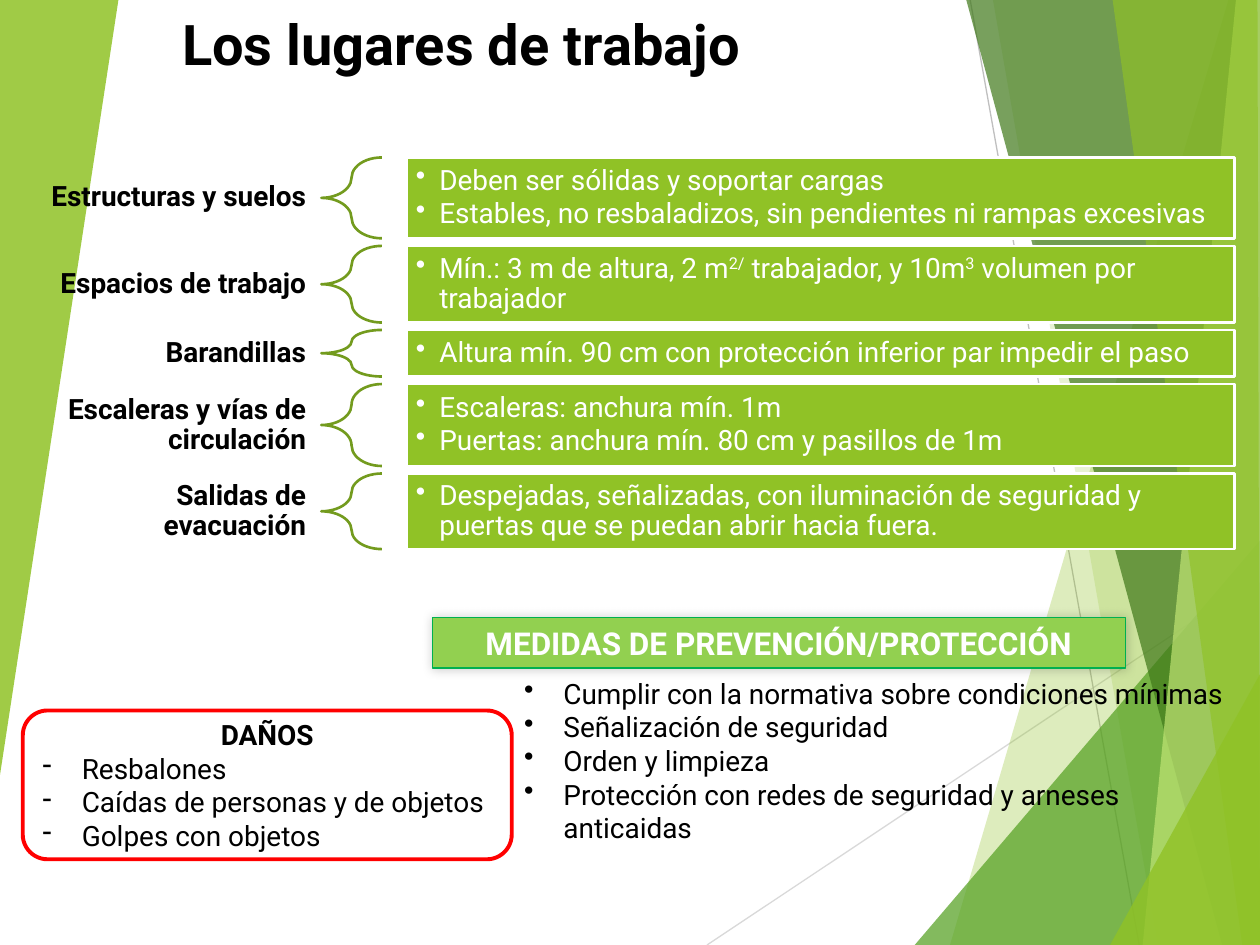
from dataclasses import dataclass

from lxml import etree
from pptx import Presentation
from pptx.dml.color import RGBColor
from pptx.enum.shapes import MSO_CONNECTOR, MSO_SHAPE
from pptx.enum.text import MSO_ANCHOR, MSO_AUTO_SIZE, PP_ALIGN
from pptx.oxml.ns import qn
from pptx.util import Pt

RECTANGLE = MSO_SHAPE.RECTANGLE
ROUNDED = MSO_SHAPE.ROUNDED_RECTANGLE
BRACE = MSO_SHAPE.LEFT_BRACE
STRAIGHT = MSO_CONNECTOR.STRAIGHT
LEFT, CENTER, RIGHT = PP_ALIGN.LEFT, PP_ALIGN.CENTER, PP_ALIGN.RIGHT
TOP, MIDDLE = MSO_ANCHOR.TOP, MSO_ANCHOR.MIDDLE
FONT = "Roboto"
GREEN, BLACK, WHITE = "90C226", "000000", "FFFFFF"


@dataclass
class Facet:
    points: list[tuple[float, float]]
    color: str
    opacity: int


@dataclass
class Topic:
    label: str
    height: float
    rules: list[str]


FACETS = [
    Facet([(702, 0), (542.9, 540), (720, 540), (720, 0)], GREEN, 30),
    Facet([(567.4, 0), (661.7, 540), (720, 540), (720, 0)], GREEN, 20),
    Facet([(522.7, 540), (720, 308.9), (720, 540)], "54A021", 72),
    Facet([(552.2, 0), (698.4, 540), (720, 540), (720, 0)], "3F7819", 70),
    Facet([(706.3, 0), (653, 540), (720, 540), (720, 0)], "C0E474", 70),
    Facet([(635.8, 0), (709.9, 540), (720, 540), (718.6, 0)], GREEN, 65),
    Facet([(634.3, 540), (720, 385.2), (720, 540)], GREEN, 80),
    Facet([(0, 0), (67.7, 0), (0, 443)], GREEN, 85),
]

TOPICS = [
    Topic("Estructuras y suelos", 46.2, [
        "Deben ser sólidas y soportar cargas",
        "Estables, no resbaladizos, sin pendientes ni rampas excesivas"]),
    Topic("Espacios de trabajo", 43.8, [
        "Mín.: 3 m de altura, 2 m^2/^ trabajador, y 10m^3^ volumen por trabajador"]),
    Topic("Barandillas", 26.6, [
        "Altura mín. 90 cm con protección inferior par impedir el paso"]),
    Topic("Escaleras y vías de circulación", 46.8, [
        "Escaleras: anchura mín. 1m",
        "Puertas: anchura mín. 80 cm y pasillos de 1m"]),
    Topic("Salidas de evacuación", 43.2, [
        "Despejadas, señalizadas, con iluminación de seguridad y "
        "puertas que se puedan abrir hacia fuera."]),
]
TOPICS_TOP, TOPIC_GAP = 90, 4.3

DAMAGES = ["Resbalones", "Caídas de personas y de objetos", "Golpes con objetos"]
MEASURES = [
    "Cumplir con la normativa sobre condiciones mínimas",
    "Señalización de seguridad",
    "Orden y limpieza",
    "Protección con redes de seguridad y arneses anticaidas",
]


def rgb(color: str) -> RGBColor:
    return RGBColor.from_string(color)


def set_bullet(paragraph, bullet: str, indent: float) -> None:
    properties = paragraph._p.get_or_add_pPr()
    properties.set("marL", str(Pt(indent)))
    properties.set("indent", str(-Pt(indent)))
    etree.SubElement(properties, qn("a:buChar"), char=bullet)


def write(box, lines: list[str], size: float = 16, color: str = BLACK, bold: bool = False,
          align=LEFT, anchor=MIDDLE, margins=(7.2, 3.6, 7.2, 3.6), bullet: str = "",
          indent: float = 22.5, spacing: float = 1, gap: float = 0) -> None:
    frame = box.text_frame
    frame.word_wrap = True
    frame.auto_size = MSO_AUTO_SIZE.NONE
    frame.vertical_anchor = anchor
    (frame.margin_left, frame.margin_top,
     frame.margin_right, frame.margin_bottom) = map(Pt, margins)
    for line in lines:
        first = not frame.text
        paragraph = frame.paragraphs[0] if first else frame.add_paragraph()
        if bullet:
            set_bullet(paragraph, bullet, indent)
        paragraph.alignment = align
        paragraph.line_spacing = spacing
        paragraph.space_before = Pt(0 if first else gap)
        for position, piece in enumerate(line.split("^")):
            span = paragraph.add_run()
            span.text = piece
            span.font.name = FONT
            span.font.size = Pt(size)
            span.font.bold = bold
            span.font.color.rgb = rgb(color)
            if position % 2:
                span._r.get_or_add_rPr().set("baseline", "30000")


def add_box(page, kind, left: float, top: float, width: float, height: float,
            line: str, weight: float, fill: str = ""):
    box = page.shapes.add_shape(kind, Pt(left), Pt(top), Pt(width), Pt(height))
    box.shadow.inherit = False
    if fill:
        box.fill.solid()
        box.fill.fore_color.rgb = rgb(fill)
    else:
        box.fill.background()
    box.line.color.rgb = rgb(line)
    box.line.width = Pt(weight)
    return box


def add_text(page, left: float, top: float, width: float, height: float):
    return page.shapes.add_textbox(Pt(left), Pt(top), Pt(width), Pt(height))


def add_shadow(box) -> None:
    effects = box._element.spPr.find(qn("a:effectLst"))
    shadow = etree.SubElement(effects, qn("a:outerShdw"), blurRad=str(Pt(6)), dist="0",
                              dir="13500000", rotWithShape="0")
    tint = etree.SubElement(shadow, qn("a:srgbClr"), val=BLACK)
    etree.SubElement(tint, qn("a:alpha"), val="20000")


def add_hairline(page, start: tuple[float, float], end: tuple[float, float], color: str) -> None:
    line = page.shapes.add_connector(STRAIGHT, *map(Pt, start + end))
    line.line.color.rgb = rgb(color)
    line.line.width = Pt(0.75)
    etree.SubElement(line._element.spPr, qn("a:effectLst"))


def add_facet(page, facet: Facet) -> None:
    points = [(Pt(x), Pt(y)) for x, y in facet.points]
    builder = page.shapes.build_freeform(*points[0])
    builder.add_line_segments(points[1:], close=True)
    shape = builder.convert_to_shape()
    shape.shadow.inherit = False
    shape.fill.solid()
    shape.fill.fore_color.rgb = rgb(facet.color)
    shape.line.fill.background()
    tint = shape._element.spPr.find(qn("a:solidFill"))[0]
    etree.SubElement(tint, qn("a:alpha"), val=str(facet.opacity * 1000))


def add_topic(page, topic: Topic, top: float) -> None:
    label = add_text(page, 10, top, 173.5, topic.height)
    write(label, [topic.label], bold=True, align=RIGHT, spacing=0.9,
          margins=(8.6, 2.9, 8.6, 2.9))
    brace = add_box(page, BRACE, 183.6, top, 34.6, topic.height, "739B1E", 1.5)
    brace.adjustments[0] = 0.35
    panel = add_box(page, RECTANGLE, 232.6, top, 473, topic.height, WHITE, 1.5, GREEN)
    write(panel, topic.rules, color=WHITE, bullet="•", indent=13.5, spacing=0.9, gap=2,
          margins=(5, 5, 5, 5))


def main() -> None:
    deck = Presentation()
    deck.slide_width, deck.slide_height = Pt(720), Pt(540)
    page = deck.slides.add_slide(deck.slide_layouts[5])

    add_hairline(page, (404, 540), (720, 329.5), "D9D9D9")
    add_hairline(page, (554.4, 0), (651, 540), "BFBFBF")
    for facet in FACETS:
        add_facet(page, facet)

    title = page.shapes.title
    title.left, title.top, title.width, title.height = map(Pt, (10, 2, 710, 45.5))
    write(title, ["Los lugares de trabajo"], size=32, bold=True, margins=(94, 3.6, 7.2, 3.6))

    heading = add_box(page, RECTANGLE, 247, 352.8, 396, 29, "00B050", 0.75, "92D050")
    add_shadow(heading)
    write(heading, ["MEDIDAS DE PREVENCIÓN/PROTECCIÓN"], size=18, color=WHITE,
          bold=True, align=CENTER)

    top = TOPICS_TOP
    for topic in TOPICS:
        add_topic(page, topic, top)
        top += topic.height + TOPIC_GAP

    damages = add_box(page, ROUNDED, 13, 406, 279.4, 85, "FF0000", 2.25)
    write(damages, ["DAÑOS"], bold=True, align=CENTER)
    write(damages, DAMAGES, bullet="-")

    measures = add_text(page, 292.4, 383, 414, 85)
    write(measures, MEASURES, bullet="•", anchor=TOP)

    deck.save("out.pptx")


if __name__ == "__main__":
    main()
